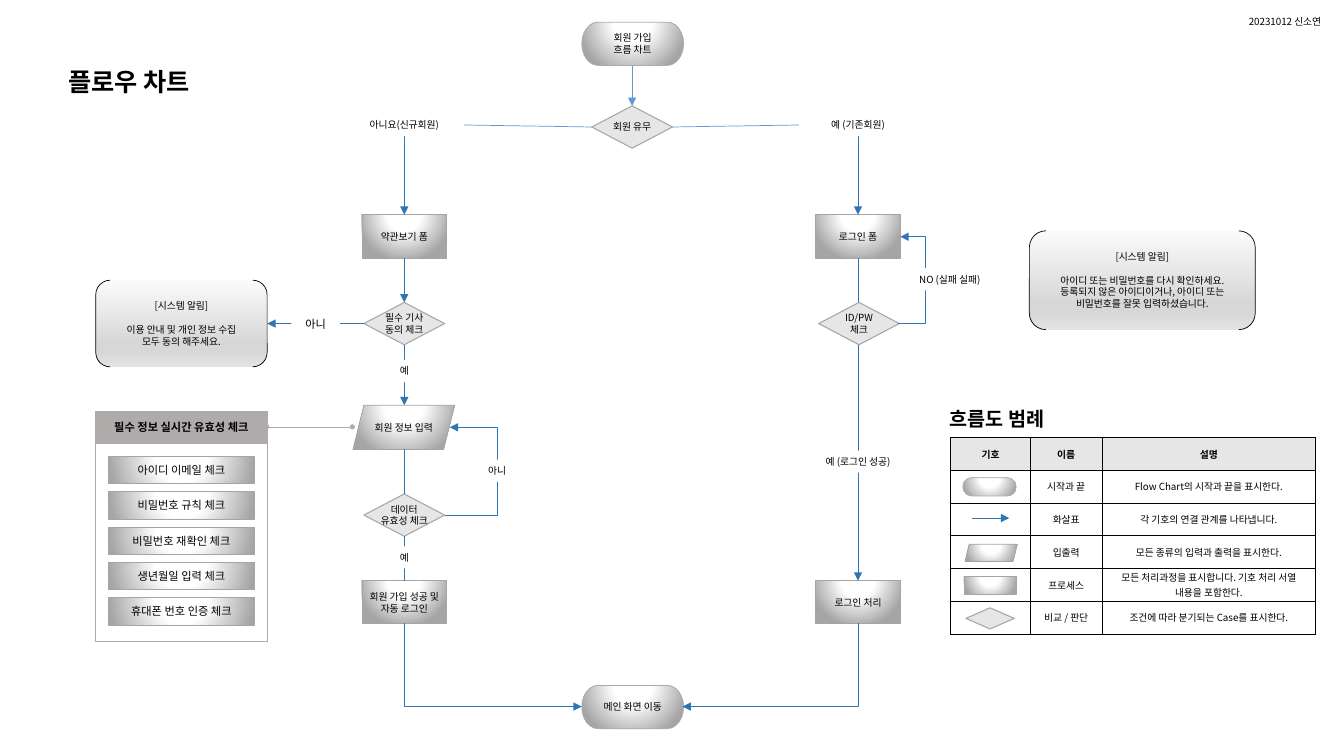
from dataclasses import dataclass

from lxml.etree import SubElement
from pptx import Presentation
from pptx.dml.color import RGBColor
from pptx.enum.shapes import MSO_CONNECTOR, MSO_SHAPE
from pptx.enum.text import MSO_ANCHOR, PP_ALIGN
from pptx.oxml import parse_xml
from pptx.oxml.ns import nsdecls, qn
from pptx.util import Inches, Pt


@dataclass(frozen=True)
class Theme:
    font: str = "Noto Sans CJK KR"
    black: str = "000000"
    white: str = "FFFFFF"
    pale: str = "E7E6E6"
    gray: str = "A5A5A5"
    panel: str = "AFABAB"
    blue: str = "2E75B6"
    light_blue: str = "5B9BD5"
    small: float = 7
    medium: float = 8
    heading: float = 14
    title: float = 18
    hairline: float = 0.5
    metal: tuple = ((0, "FFFFFF"), (35, "FFFFFF"), (100, "A5A5A5"))
    alert: tuple = ((0, "FAFAFA"), (74, "D7D7D7"), (83, "D7D7D7"), (100, "E4E4E4"))


THEME = Theme()
METAL_SHADE = ('<a:path path="circle"><a:fillToRect l="50000" t="-80000" '
               'r="50000" b="180000"/></a:path>')
ALERT_SHADE = '<a:lin ang="5400000" scaled="0"/>'
LEGEND_ROWS = (
    ("기호", "이름", "설명"),
    ("", "시작과 끝", "Flow Chart의 시작과 끝을 표시한다."),
    ("", "화살표", "각 기호의 연결 관계를 나타냅니다."),
    ("", "입출력", "모든 종류의 입력과 출력을 표시한다."),
    ("", "프로세스", "모든 처리과정을 표시합니다. 기호 처리 서열 내용을 포함한다."),
    ("", "비교 / 판단", "조건에 따라 분기되는 Case를 표시한다."),
)
CHECKS = ("아이디 이메일 체크", "비밀번호 규칙 체크", "비밀번호 재확인 체크",
          "생년월일 입력 체크", "휴대폰 번호 인증 체크")


def color(value):
    return RGBColor.from_string(value)


def write(frame, lines, size=THEME.small, bold=False, align=PP_ALIGN.CENTER):
    for index, line in enumerate(lines):
        paragraph = frame.paragraphs[0] if index == 0 else frame.add_paragraph()
        paragraph.text = line
        paragraph.alignment = align
        font = paragraph.font
        font.size, font.bold, font.name = Pt(size), bold, THEME.font
        font.color.rgb = color(THEME.black)
        properties = paragraph._p.pPr.find(qn("a:defRPr"))
        SubElement(properties, qn("a:ea"), typeface=THEME.font)
        if not line:
            SubElement(paragraph._p, qn("a:endParaRPr"), sz=str(int(size * 100)))


def gradient(shape, stops, shade):
    marks = "".join(f'<a:gs pos="{position * 1000}"><a:srgbClr val="{value}"/></a:gs>'
                    for position, value in stops)
    fill = parse_xml(f'<a:gradFill {nsdecls("a")} rotWithShape="1">'
                     f'<a:gsLst>{marks}</a:gsLst>{shade}</a:gradFill>')
    shape._element.spPr.find(qn("a:prstGeom")).addnext(fill)


def add_box(slide, kind, left, top, width, height, lines=(), fill=None, line=None,
            weight=THEME.hairline, size=THEME.small, bold=False, wrap=False):
    shape = slide.shapes.add_shape(kind, Inches(left), Inches(top), Inches(width), Inches(height))
    shape.shadow.inherit = False
    if fill == THEME.metal:
        gradient(shape, fill, METAL_SHADE)
    elif fill == THEME.alert:
        gradient(shape, fill, ALERT_SHADE)
    elif fill:
        shape.fill.solid()
        shape.fill.fore_color.rgb = color(fill)
    else:
        shape.fill.background()
    if line:
        shape.line.color.rgb = color(line)
        shape.line.width = Pt(weight)
    else:
        shape.line.fill.background()
    frame = shape.text_frame
    frame.word_wrap = wrap
    frame.vertical_anchor = MSO_ANCHOR.MIDDLE
    write(frame, lines, size, bold)
    return shape


def add_terminator(slide, left, top, width=1.01, height=0.43, lines=()):
    add_box(slide, MSO_SHAPE.FLOWCHART_TERMINATOR, left, top, width, height, lines,
            THEME.metal, THEME.panel)


def add_process(slide, left, top, width=0.84, height=0.43, lines=(), size=THEME.small):
    add_box(slide, MSO_SHAPE.RECTANGLE, left, top, width, height, lines,
            THEME.metal, THEME.gray, size=size)


def add_input(slide, left, top, width=1.01, height=0.44, lines=()):
    add_box(slide, MSO_SHAPE.PARALLELOGRAM, left, top, width, height, lines,
            THEME.metal, THEME.gray)


def add_decision(slide, left, top, width=0.8, height=0.42, lines=()):
    add_box(slide, MSO_SHAPE.DIAMOND, left, top, width, height, lines,
            THEME.pale, THEME.gray, weight=0.75)


def add_alert(slide, left, top, width, height, message):
    shape = add_box(slide, MSO_SHAPE.DOUBLE_BRACKET, left, top, width, height,
                    ("[시스템 알림]", *message), THEME.alert, THEME.black, wrap=True)
    shape.text_frame.paragraphs[0].space_after = Pt(8.4)


def add_label(slide, center, top, width, text, size=THEME.small):
    add_box(slide, MSO_SHAPE.RECTANGLE, center - width / 2, top, width, 0.22, (text,),
            THEME.white, size=size)


def add_text(slide, left, top, width, height, text, size, bold=False, align=PP_ALIGN.LEFT):
    box = slide.shapes.add_textbox(Inches(left), Inches(top), Inches(width), Inches(height))
    box.text_frame.word_wrap = True
    write(box.text_frame, (text,), size, bold, align)


def add_line(slide, start, end, tint=THEME.blue, arrow=True, bend=None):
    kind = MSO_CONNECTOR.STRAIGHT if bend is None else MSO_CONNECTOR.ELBOW
    connector = slide.shapes.add_connector(kind, *(Inches(value) for value in (*start, *end)))
    connector.line.color.rgb = color(tint)
    connector.line.width = Pt(THEME.hairline)
    properties = connector._element.spPr
    if arrow:
        SubElement(properties.find(qn("a:ln")), qn("a:tailEnd"), type="triangle")
    SubElement(properties, qn("a:effectLst"))
    if bend is not None:
        ratio = round((bend - start[0]) / (end[0] - start[0]) * 100000)
        guides = properties.find(qn("a:prstGeom")).get_or_add_avLst()
        SubElement(guides, qn("a:gd"), name="adj1", fmla=f"val {ratio}")


def border_cell(cell):
    properties = cell._tc.get_or_add_tcPr()
    for index, side in enumerate(("lnL", "lnR", "lnT", "lnB")):
        properties.insert(index, parse_xml(
            f'<a:{side} {nsdecls("a")} w="{Pt(THEME.hairline)}"><a:solidFill>'
            f'<a:srgbClr val="{THEME.black}"/></a:solidFill></a:{side}>'))


def add_legend(slide):
    left, top, row_height = 9.43, 4.34, 0.325
    add_text(slide, 9.32, 3.99, 1.25, 0.34, "흐름도 범례", THEME.heading, True)
    table = slide.shapes.add_table(len(LEGEND_ROWS), 3, Inches(left), Inches(top), Inches(3.62),
                                   Inches(row_height * len(LEGEND_ROWS))).table
    table.first_row = table.horz_banding = False
    for column, width in zip(table.columns, (0.79, 0.71, 2.12)):
        column.width = Inches(width)
    for row_index, texts in enumerate(LEGEND_ROWS):
        for column_index, text in enumerate(texts):
            cell = table.cell(row_index, column_index)
            cell.fill.solid()
            cell.fill.fore_color.rgb = color(THEME.white if row_index else THEME.pale)
            cell.margin_left = cell.margin_right = Inches(0.18 if column_index == 2 else 0.02)
            cell.margin_top = cell.margin_bottom = 0
            cell.vertical_anchor = MSO_ANCHOR.MIDDLE
            write(cell.text_frame, (text,), bold=row_index == 0)
            border_cell(cell)
    add_terminator(slide, 9.55, 4.74, 0.53, 0.18)
    add_line(slide, (9.64, 5.14), (10.01, 5.14))
    add_input(slide, 9.57, 5.4, 0.52, 0.17)
    add_process(slide, 9.56, 5.72, 0.52, 0.18)
    add_decision(slide, 9.58, 6.03, 0.48, 0.21)


def add_validation_panel(slide):
    add_box(slide, MSO_SHAPE.RECTANGLE, 0.95, 4.08, 1.7, 2.28, line=THEME.panel)
    add_box(slide, MSO_SHAPE.RECTANGLE, 0.95, 4.08, 1.7, 0.32, ("필수 정보 실시간 유효성 체크",),
            THEME.panel, THEME.panel, size=THEME.medium, bold=True)
    for index, check in enumerate(CHECKS):
        add_process(slide, 1.08, 4.53 + index * 0.35, 1.44, 0.27, (check,), THEME.medium)
    add_line(slide, (2.65, 4.24), (3.47, 4.24), THEME.panel, False)
    for left in (2.62, 3.47):
        add_box(slide, MSO_SHAPE.OVAL, left, 4.21, 0.05, 0.05, fill=THEME.panel)


def add_start_and_end(slide):
    add_terminator(slide, 5.77, 0.22, lines=("회원 가입", "흐름 차트"))
    add_decision(slide, 5.87, 1.05, lines=("회원 유무",))
    add_terminator(slide, 5.77, 6.8, lines=("메인 화면 이동",))
    add_line(slide, (6.27, 0.65), (6.27, 1.05), THEME.light_blue)
    add_line(slide, (5.87, 1.26), (4.6, 1.24), THEME.light_blue, False)
    add_line(slide, (7.93, 1.24), (6.67, 1.26), THEME.light_blue, False)


def add_join_flow(slide):
    center = 4.01
    add_process(slide, 3.59, 2.13, lines=("약관보기 폼",))
    add_decision(slide, 3.61, 3, lines=("필수 기사", "동의 체크"))
    add_input(slide, 3.5, 4.02, lines=("회원 정보 입력",))
    add_decision(slide, 3.61, 4.9, lines=("데이터", "유효성 체크"))
    add_process(slide, 3.59, 5.76, lines=("회원 가입 성공 및", "자동 로그인"))
    for top, bottom, arrow in ((1.35, 2.13, True), (2.56, 3, True), (3.42, 4.02, True),
                               (4.45, 4.9, False), (5.32, 5.76, False)):
        add_line(slide, (center, top), (center, bottom), arrow=arrow)
    add_line(slide, (3.61, 3.21), (2.65, 3.21))
    add_line(slide, (4.41, 5.11), (4.46, 4.24), bend=4.93)
    add_line(slide, (center, 6.18), (5.77, 7.01), bend=center)
    add_label(slide, center, 1.13, 1.17, "아니요(신규회원)")
    add_label(slide, 3.13, 3.1, 0.48, "아니", THEME.medium)
    add_label(slide, center, 3.57, 0.36, "예")
    add_label(slide, 4.93, 4.56, 0.48, "아니")
    add_label(slide, center, 5.42, 0.48, "예")
    add_alert(slide, 0.95, 2.78, 1.7, 0.86, ("이용 안내 및 개인 정보 수집", "모두 동의 해주세요."))


def add_login_flow(slide):
    center = 8.51
    add_process(slide, 8.09, 2.13, lines=("로그인 폼",))
    add_decision(slide, 8.12, 3, lines=("ID/PW", "체크"))
    add_process(slide, 8.09, 5.76, lines=("로그인 처리",))
    for top, bottom, arrow in ((1.35, 2.13, True), (2.56, 3, False), (3.42, 5.76, True)):
        add_line(slide, (center, top), (center, bottom), arrow=arrow)
    add_line(slide, (8.91, 3.21), (8.93, 2.35), bend=9.18)
    add_line(slide, (center, 6.18), (6.77, 7.01), bend=center)
    add_label(slide, center, 1.13, 1.17, "예 (기존회원)")
    add_label(slide, 9.42, 2.66, 1.01, "NO (실패 실패)")
    add_label(slide, center, 4.47, 1.01, "예 (로그인 성공)")
    add_alert(slide, 10.21, 2.29, 2.24, 0.98, (
        "아이디 또는 비밀번호를 다시 확인하세요.",
        "등록되지 않은 아이디이거나, 아이디 또는 비밀번호를 잘못 입력하셨습니다."))


def main():
    presentation = Presentation()
    presentation.slide_width, presentation.slide_height = Inches(13.33), Inches(7.5)
    slide = presentation.slides.add_slide(presentation.slide_layouts[6])
    add_text(slide, 0.58, 0.61, 2.55, 0.4, "플로우 차트", THEME.title, True)
    add_text(slide, 12.16, 0.11, 1.17, 0.22, "20231012 신소연", THEME.small, align=PP_ALIGN.CENTER)
    add_start_and_end(slide)
    add_join_flow(slide)
    add_login_flow(slide)
    add_validation_panel(slide)
    add_legend(slide)
    presentation.save("out.pptx")


if __name__ == "__main__":
    main()
